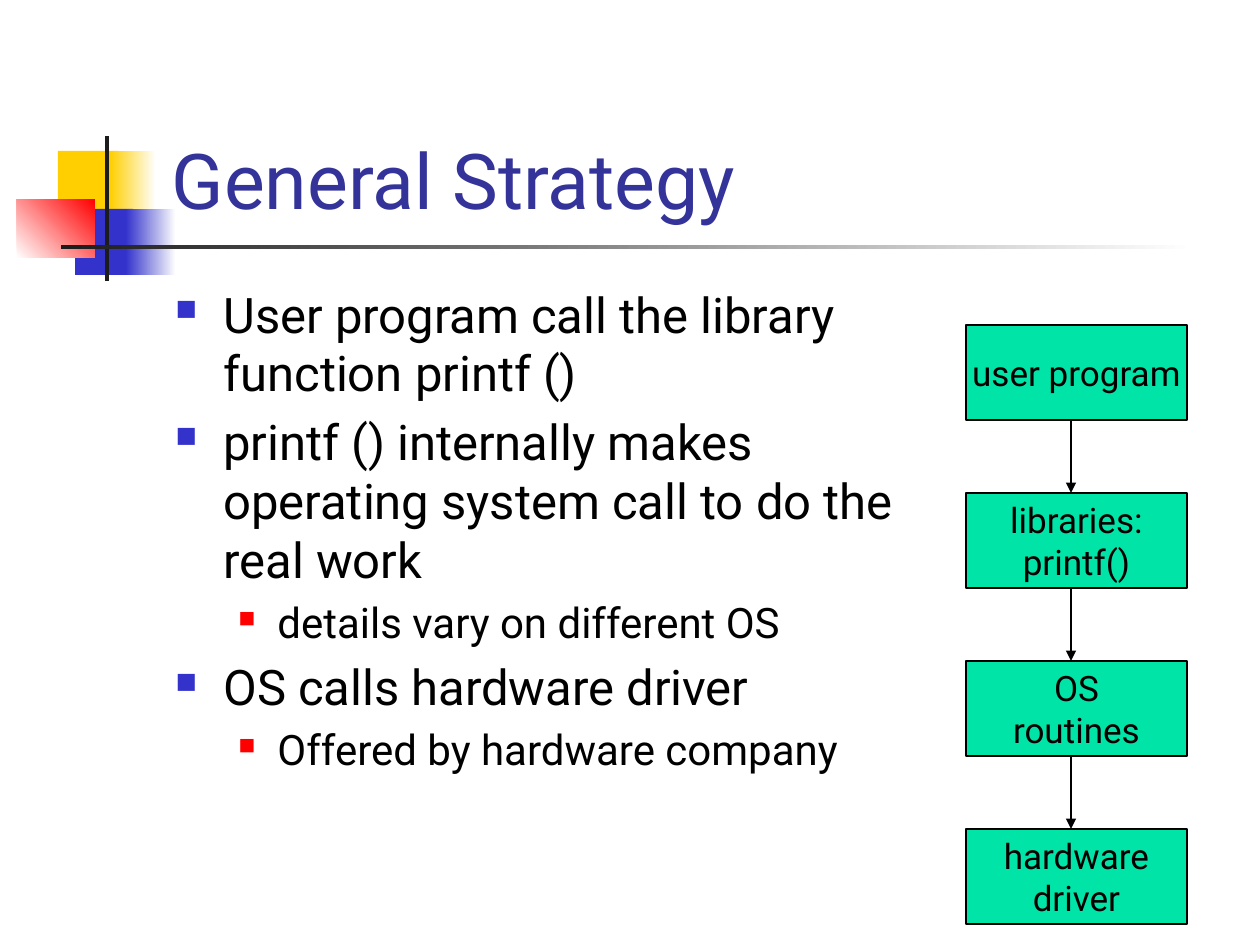
from dataclasses import dataclass
from itertools import pairwise
from lxml.etree import SubElement
from pptx import Presentation
from pptx.dml.color import RGBColor as Rgb
from pptx.enum.shapes import MSO_CONNECTOR as Connector, MSO_SHAPE as Shape
from pptx.enum.text import MSO_ANCHOR as Anchor, MSO_AUTO_SIZE as AutoSize, PP_ALIGN as Align
from pptx.oxml.ns import qn
from pptx.util import Emu, Pt

TITLE_ONLY = 5


@dataclass(frozen=True)
class Theme:
    font: str = "Roboto"
    title: str = "333399"
    text: str = "000000"
    yellow: str = "FFCF01"
    blue: str = "3333CC"
    red: str = "FF0000"
    dark: str = "1C1C1C"
    white: str = "FFFFFF"
    box: str = "00E4A8"
    title_size: int = 44
    body_sizes: tuple = (28, 24)
    box_size: int = 20
    line_width: float = 0.75


def px(length):
    return Emu(round(length * 914400 / 126))


class SlideBuilder:
    def __init__(self, slide, theme):
        self.slide = slide
        self.theme = theme

    def style(self, paragraph, size, color):
        font = paragraph.font
        font.name = self.theme.font
        font.size = Pt(size)
        font.color.rgb = Rgb.from_string(color)

    def title(self, text, left, top, width, height):
        heading = self.slide.shapes.title
        heading.left, heading.top = px(left), px(top)
        heading.width, heading.height = px(width), px(height)
        frame = heading.text_frame
        frame.text = text
        frame.auto_size = AutoSize.NONE
        frame.vertical_anchor = Anchor.BOTTOM
        paragraph = frame.paragraphs[0]
        paragraph.alignment = Align.LEFT
        self.style(paragraph, self.theme.title_size, self.theme.title)

    def rect(self, left, top, width, height, *colors):
        shape = self.slide.shapes.add_shape(
            Shape.RECTANGLE, px(left), px(top), px(width), px(height))
        shape.shadow.inherit = False
        shape.line.fill.background()
        if len(colors) == 1:
            shape.fill.solid()
            shape.fill.fore_color.rgb = Rgb.from_string(colors[0])
        else:
            shape.fill.gradient()
            shape.fill.gradient_angle = 0
            for stop, color in zip(shape.fill.gradient_stops, colors):
                stop.color.rgb = Rgb.from_string(color)
        return shape

    def bullets(self, items, left, top, width, height):
        frame = self.slide.shapes.add_textbox(
            px(left), px(top), px(width), px(height)).text_frame
        frame.word_wrap = True
        indents = ((48, -48), (102, -39))
        marks = ((self.theme.blue, 60), (self.theme.red, 55))
        for index, (level, text) in enumerate(items):
            paragraph = frame.add_paragraph() if index else frame.paragraphs[0]
            paragraph.text = text
            paragraph.level = level
            size = self.theme.body_sizes[level]
            margin, indent = indents[level]
            color, percent = marks[level]
            properties = paragraph._p.get_or_add_pPr()
            properties.set("marL", str(px(margin)))
            properties.set("indent", str(px(indent)))
            SubElement(SubElement(properties, qn("a:buClr")), qn("a:srgbClr"), val=color)
            SubElement(properties, qn("a:buSzPct"), val=str(percent * 1000))
            SubElement(properties, qn("a:buChar"), char="■")
            paragraph.space_before = Pt(size * 0.2 if index else 0)
            self.style(paragraph, size, self.theme.text)

    def box(self, lines, left, top, width, height):
        shape = self.rect(left, top, width, height, self.theme.box)
        shape.line.color.rgb = Rgb.from_string(self.theme.text)
        shape.line.width = Pt(self.theme.line_width)
        frame = shape.text_frame
        frame.text = "\n".join(lines)
        frame.word_wrap = False
        frame.vertical_anchor = Anchor.MIDDLE
        for paragraph in frame.paragraphs:
            paragraph.alignment = Align.CENTER
            self.style(paragraph, self.theme.box_size, self.theme.text)

    def down_arrow(self, x, start, end):
        arrow = self.slide.shapes.add_connector(
            Connector.STRAIGHT, px(x), px(start), px(x), px(end))
        arrow.line.color.rgb = Rgb.from_string(self.theme.text)
        arrow.line.width = Pt(self.theme.line_width)
        SubElement(arrow.line._get_or_add_ln(), qn("a:tailEnd"), type="triangle")
        SubElement(arrow._element.spPr, qn("a:effectLst"))


def main():
    deck = Presentation()
    deck.slide_width, deck.slide_height = px(1260), px(945)
    theme = Theme()
    page = SlideBuilder(deck.slides.add_slide(deck.slide_layouts[TITLE_ONLY]), theme)

    page.rect(58, 151, 60, 66, theme.yellow)
    page.rect(110, 151, 46, 66, theme.yellow, theme.white)
    page.rect(75, 209, 58, 66, theme.blue)
    page.rect(126, 209, 50, 66, theme.blue, theme.white)
    red_corner = page.rect(17, 199, 78, 59, theme.white, theme.red)
    red_corner.fill.gradient_angle = 45
    page.rect(105, 136, 4, 145, theme.dark)
    page.rect(61, 245, 1134, 4, theme.dark, theme.white)

    page.title("General Strategy", 159, 29, 1074, 202)
    page.bullets([
        (0, "User program call the library function printf ()"),
        (0, "printf () internally makes operating system call to do the real work"),
        (1, "details vary on different OS"),
        (0, "OS calls hardware driver"),
        (1, "Offered by hardware company"),
    ], 163, 278, 751, 567)

    layers = [["user program"], ["libraries:", "printf()"],
              ["OS", "routines"], ["hardware", "driver"]]
    layer_height = 95
    tops = [325 + 168 * index for index in range(len(layers))]
    for lines, top in zip(layers, tops):
        page.box(lines, 966, top, 221, layer_height)
    for upper, lower in pairwise(tops):
        page.down_arrow(1071, upper + layer_height, lower)

    deck.save("out.pptx")


if __name__ == "__main__":
    main()
